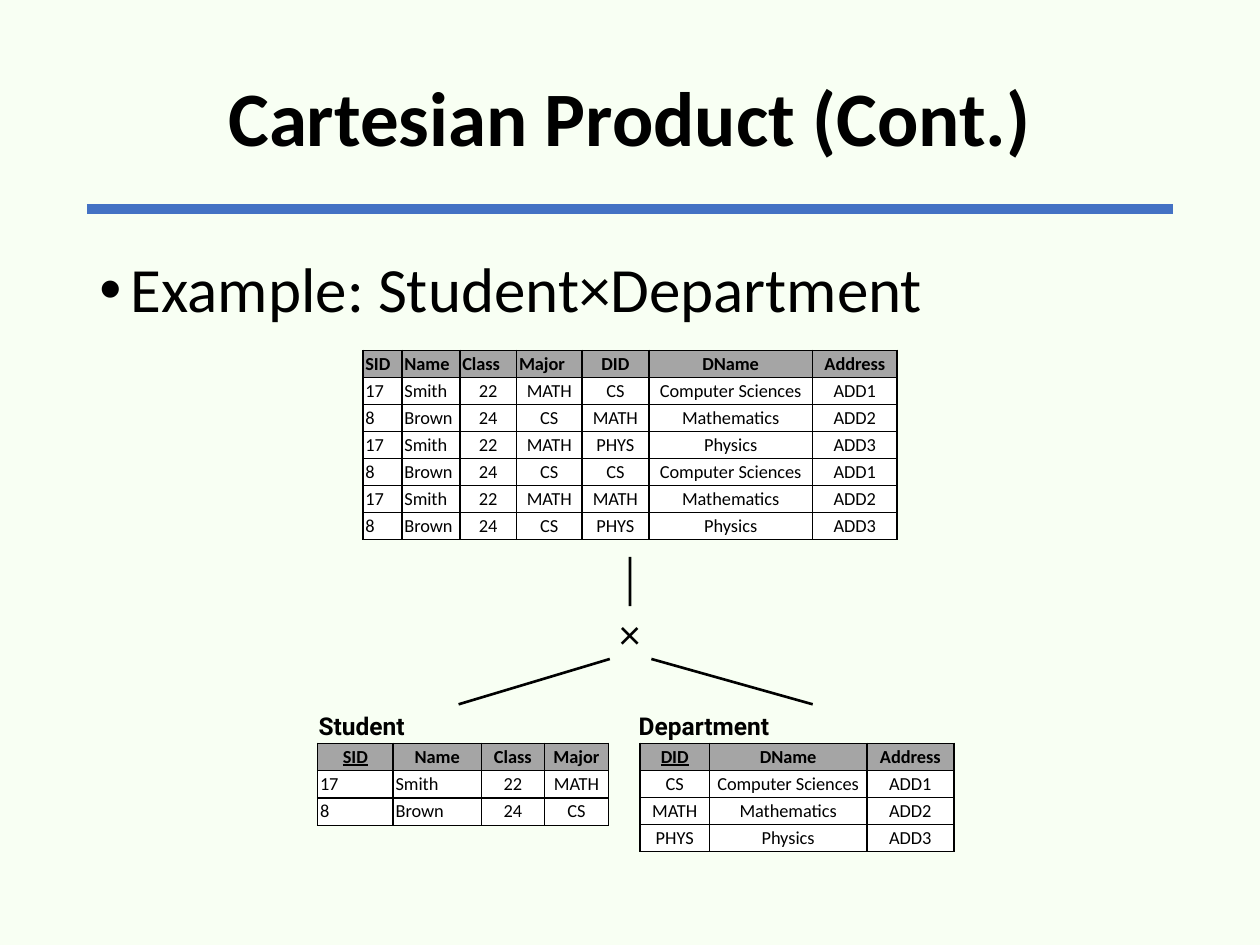
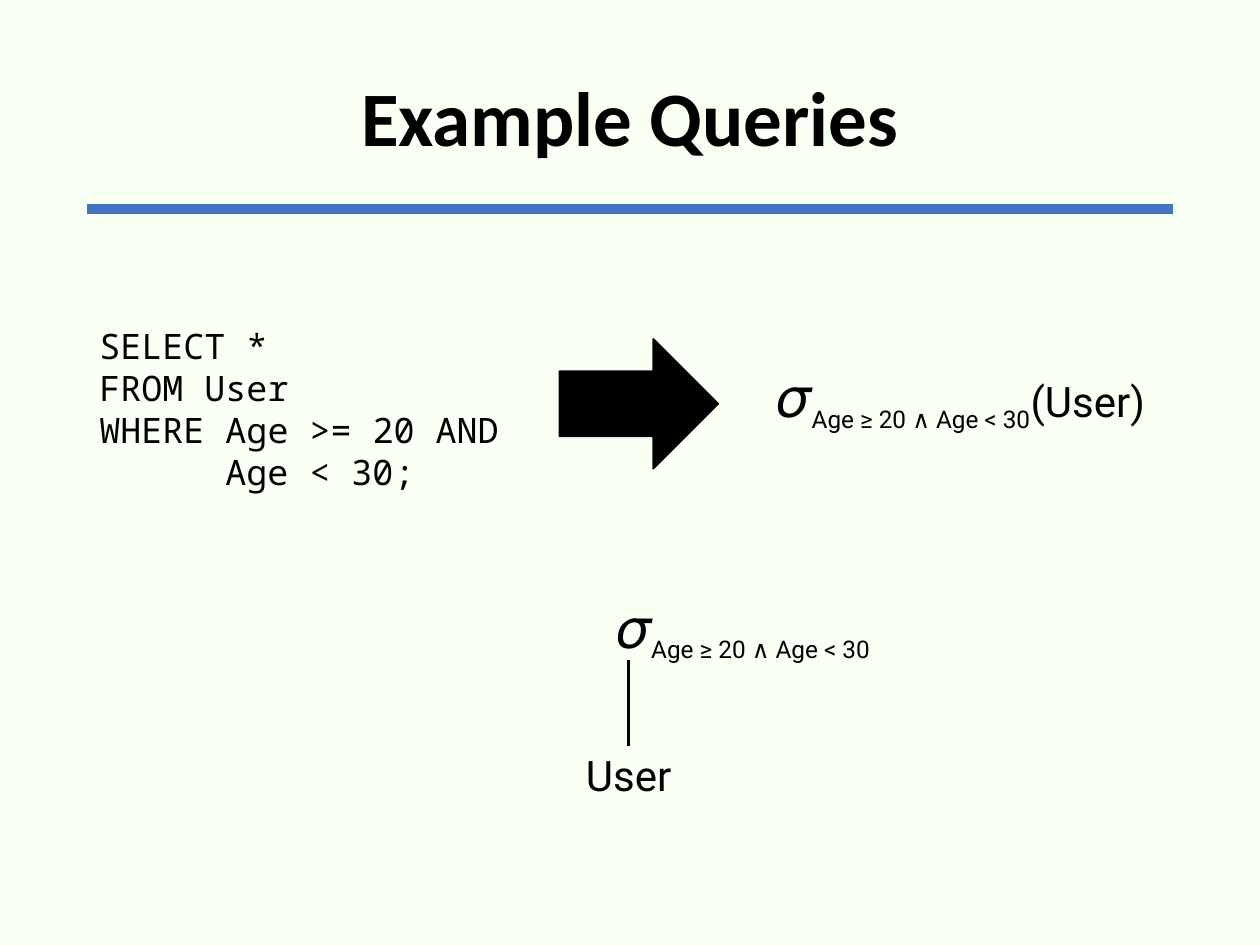
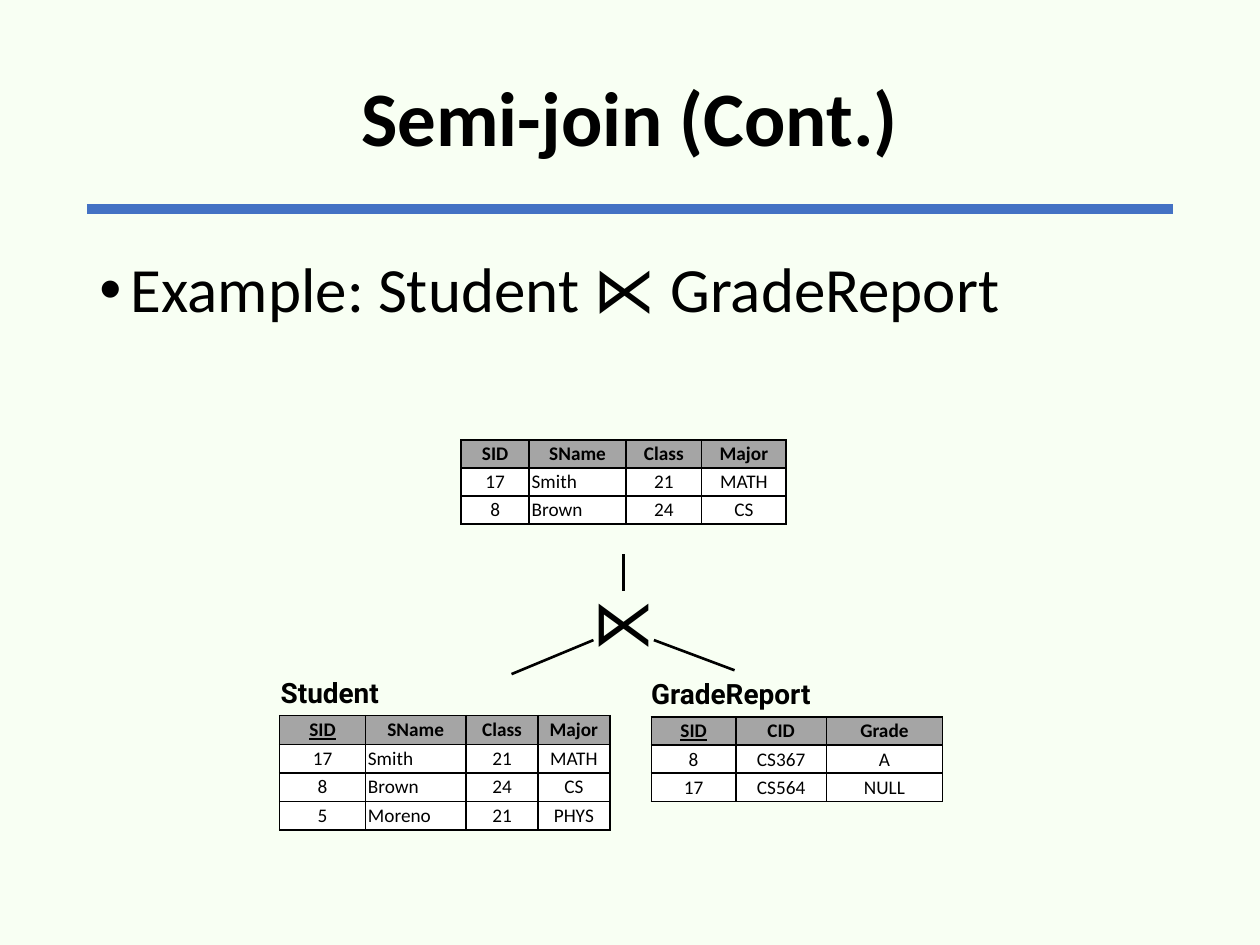
"""Build three relational algebra slides: product, selection and semi-join."""
from dataclasses import dataclass

from lxml import etree
from pptx import Presentation
from pptx import util as u
from pptx.dml.color import RGBColor
from pptx.enum import shapes, text
from pptx.oxml import ns


@dataclass(frozen=True)
class Theme:
    """Colours, fonts and type sizes shared by the slides."""
    background: str = "F8FFF3"
    rule: str = "4472C4"
    ink: str = "000000"
    header: str = "A5A5A5"
    cell: str = "FFFFFF"
    body_font: str = "Calibri"
    label_font: str = "Roboto"
    code_font: str = "Noto Sans Mono"
    title_size: float = 44
    bullet_size: float = 36
    sigma_size: float = 32
    formula_size: float = 24
    code_size: float = 20


@dataclass(frozen=True)
class Box:
    """A place on the slide in inches."""
    left: float
    top: float
    width: float
    height: float

    def lengths(self):
        """Return the four lengths for python-pptx."""
        return [u.Inches(n) for n in (self.left, self.top, self.width, self.height)]


@dataclass(frozen=True)
class Relation:
    """A relation drawn as a table, with one alignment letter per column."""
    box: Box
    columns: tuple
    rows: tuple
    align: str
    size: float
    header_align: str = ""
    keyed: bool = True


@dataclass(frozen=True)
class Label:
    """A bold relation name above its table."""
    words: str
    box: Box
    size: float


@dataclass(frozen=True)
class Part:
    """A stretch of a formula."""
    words: str
    size: float
    baseline: int = 0


THEME = Theme()
ALIGN = {"l": text.PP_ALIGN.LEFT, "c": text.PP_ALIGN.CENTER}
CONDITION = (Part("𝜎", THEME.sigma_size),
             Part("Age ≥ 20 ∧ Age < 30", THEME.formula_size, -25000))
BODY_BOX = Box(0.69, 2, 8.62, 4.76)


def style_run(run, size: float, font: str, bold: bool = False) -> None:
    """Give a run its font, size and ink colour."""
    run.font.size = u.Pt(size)
    run.font.name = font
    run.font.bold = bold
    run.font.color.rgb = RGBColor.from_string(THEME.ink)


def style_frame(frame, size: float, font: str, align: str = "l", bold: bool = False) -> None:
    """Format every paragraph of a text frame alike."""
    for paragraph in frame.paragraphs:
        paragraph.alignment = ALIGN[align]
        for run in paragraph.runs:
            style_run(run, size, font, bold)


def add_text(slide, box: Box, words: str, size: float, font: str, align: str = "l",
             bold: bool = False, wrap: bool = True):
    """Add a text box and return its text frame."""
    frame = slide.shapes.add_textbox(*box.lengths()).text_frame
    frame.word_wrap = wrap
    frame.text = words
    style_frame(frame, size, font, align, bold)
    return frame


def add_line(slide, start: tuple, end: tuple, width: float = 1.5, color: str = THEME.ink):
    """Add a straight line without a shadow."""
    line = slide.shapes.add_connector(
        shapes.MSO_CONNECTOR.STRAIGHT, *[u.Inches(n) for n in start + end])
    line.line.width = u.Pt(width)
    line.line.color.rgb = RGBColor.from_string(color)
    etree.SubElement(line._element.spPr, ns.qn("a:effectLst"))
    return line


def add_slide(presentation, title: str):
    """Add a slide with the shared background, title and rule."""
    slide = presentation.slides.add_slide(presentation.slide_layouts[6])
    slide.background.fill.solid()
    slide.background.fill.fore_color.rgb = RGBColor.from_string(THEME.background)
    add_line(slide, (0.69, 1.66), (9.31, 1.66), 6, THEME.rule)
    frame = add_text(slide, Box(0.69, 0.24, 8.62, 1.45), title,
                     THEME.title_size, THEME.body_font, "c", True)
    frame.vertical_anchor = text.MSO_ANCHOR.MIDDLE
    frame.paragraphs[0].line_spacing = 0.9
    return slide


def add_bullet(slide, words: str) -> None:
    """Add the bulleted line under the title."""
    frame = add_text(slide, BODY_BOX, words, THEME.bullet_size, THEME.body_font)
    paragraph = frame.paragraphs[0]
    paragraph.line_spacing = 0.9
    paragraph.space_before = u.Pt(10)
    properties = paragraph._p.get_or_add_pPr()
    properties.set("marL", str(u.Inches(0.25)))
    properties.set("indent", str(u.Inches(-0.25)))
    etree.SubElement(properties, ns.qn("a:buFont"), typeface="Arial")
    etree.SubElement(properties, ns.qn("a:buChar"), char="•")


def add_node(slide, box: Box, words: str, size: float, font: str):
    """Add an operator or relation node of a query tree."""
    node = slide.shapes.add_shape(shapes.MSO_SHAPE.OVAL, *box.lengths())
    node.shadow.inherit = False
    node.fill.background()
    node.line.fill.background()
    frame = node.text_frame
    frame.word_wrap = False
    frame.vertical_anchor = text.MSO_ANCHOR.MIDDLE
    frame.text = words
    style_frame(frame, size, font, "c")
    return node


def add_formula(slide, box: Box, parts: tuple, align: str) -> None:
    """Add a formula made of parts with their own size and baseline."""
    frame = add_text(slide, box, "", THEME.formula_size, THEME.label_font, align, wrap=False)
    for part in parts:
        run = frame.paragraphs[0].add_run()
        run.text = part.words
        style_run(run, part.size, THEME.label_font)
        if part.baseline:
            run.font._element.set("baseline", str(part.baseline))


def add_borders(cell) -> None:
    """Draw a thin line on the four sides of a cell."""
    properties = cell._tc.get_or_add_tcPr()
    for index, side in enumerate(("a:lnL", "a:lnR", "a:lnT", "a:lnB")):
        line = etree.Element(ns.qn(side), w=str(u.Pt(1)))
        fill = etree.SubElement(line, ns.qn("a:solidFill"))
        etree.SubElement(fill, ns.qn("a:srgbClr"), val=THEME.ink)
        properties.insert(index, line)


def add_relation(slide, relation: Relation) -> None:
    """Draw a relation as a bordered table with a grey header."""
    count = len(relation.rows)
    table = slide.shapes.add_table(
        count, len(relation.columns), *relation.box.lengths()).table
    table.first_row = table.horz_banding = False
    for column, width in zip(table.columns, relation.columns):
        column.width = u.Inches(width)
    header_align = relation.header_align or "c" * len(relation.columns)
    for i, values in enumerate(relation.rows):
        header = i == 0
        table.rows[i].height = u.Inches(relation.box.height / count)
        for j, value in enumerate(values):
            cell = table.cell(i, j)
            cell.margin_left = cell.margin_right = u.Inches(0.02)
            cell.margin_top = cell.margin_bottom = u.Inches(0.02)
            cell.fill.solid()
            cell.fill.fore_color.rgb = RGBColor.from_string(
                THEME.header if header else THEME.cell)
            add_borders(cell)
            cell.text_frame.text = value
            align = (header_align if header else relation.align)[j]
            style_frame(cell.text_frame, relation.size, THEME.body_font, align, header)
            if header and j == 0 and relation.keyed:
                cell.text_frame.paragraphs[0].runs[0].font.underline = True


def add_query_tree(slide, node, stem: tuple, branches: tuple, relations: tuple,
                   labels: tuple) -> None:
    """Draw the lines, tables and names around an operator node."""
    add_line(slide, stem, (stem[0], node.top.inches)).end_connect(node, 0)
    for start, end in branches:
        add_line(slide, start, end)
    for relation in relations:
        add_relation(slide, relation)
    for label in labels:
        add_text(slide, label.box, label.words, label.size, THEME.label_font, bold=True)


def build_product(presentation) -> None:
    """Build the Cartesian product slide."""
    slide = add_slide(presentation, "Cartesian Product (Cont.)")
    add_bullet(slide, "Example: Student×Department")
    student_head = ("SID", "Name", "Class", "Major")
    students = (("17", "Smith", "22", "MATH"), ("8", "Brown", "24", "CS"))
    department_head = ("DID", "DName", "Address")
    departments = (("CS", "Computer Sciences", "ADD1"),
                   ("MATH", "Mathematics", "ADD2"),
                   ("PHYS", "Physics", "ADD3"))
    pairs = tuple(students[i % 2] + departments[i % 3] for i in range(6))
    relations = (
        Relation(Box(2.52, 5.9, 2.31, 0.65), (0.6, 0.7, 0.5, 0.51),
                 (student_head,) + students, "llcc", 10.5),
        Relation(Box(2.88, 2.78, 4.24, 1.5), (0.31, 0.46, 0.45, 0.52, 0.53, 1.3, 0.67),
                 (student_head + department_head,) + pairs, "llccccc", 10.5,
                 "llllccc", keyed=False),
        Relation(Box(5.08, 5.9, 2.49, 0.86), (0.55, 1.25, 0.69),
                 (department_head,) + departments, "ccc", 10.5))
    labels = (Label("Student", Box(2.43, 5.59, 1.1, 0.34), 14),
              Label("Department", Box(4.97, 5.59, 1.5, 0.34), 14))
    node = add_node(slide, Box(4.27, 4.81, 1.46, 0.42), "×",
                    THEME.formula_size, THEME.body_font)
    branches = (((4.84, 5.23), (3.64, 5.59)), ((5.17, 5.23), (6.45, 5.59)))
    add_query_tree(slide, node, (5, 4.42), branches, relations, labels)


def build_queries(presentation) -> None:
    """Build the slide that turns a query into a selection."""
    slide = add_slide(presentation, "Example Queries")
    query = "SELECT *\nFROM User\nWHERE Age >= 20 AND\nAge < 30;"
    code = add_text(slide, Box(0.69, 2.53, 3.42, 1.44), query,
                    THEME.code_size, THEME.code_font)
    code.paragraphs[-1]._p.get_or_add_pPr().set("marL", str(u.Inches(1)))
    arrow = slide.shapes.add_shape(
        shapes.MSO_SHAPE.RIGHT_ARROW, *Box(4.44, 2.69, 1.26, 1.03).lengths())
    arrow.shadow.inherit = False
    arrow.fill.solid()
    arrow.fill.fore_color.rgb = RGBColor.from_string(THEME.ink)
    arrow.line.color.rgb = RGBColor.from_string(THEME.ink)
    arrow.line.width = u.Pt(1)
    add_formula(slide, Box(6.06, 2.82, 3.14, 0.64),
                CONDITION + (Part("(User)", THEME.formula_size),), "c")
    add_formula(slide, Box(4.8, 4.65, 2.21, 0.64), CONDITION, "l")
    user = add_node(slide, Box(4.79, 5.92, 0.4, 0.45), "User",
                    THEME.formula_size, THEME.label_font)
    add_line(slide, (4.99, 5.24), (4.99, 5.92)).end_connect(user, 0)


def build_semi_join(presentation) -> None:
    """Build the semi-join slide."""
    slide = add_slide(presentation, "Semi-join (Cont.)")
    add_bullet(slide, "Example: Student ⋉ GradeReport")
    students = (("SID", "SName", "Class", "Major"),
                ("17", "Smith", "21", "MATH"),
                ("8", "Brown", "24", "CS"),
                ("5", "Moreno", "21", "PHYS"))
    grades = (("SID", "CID", "Grade"), ("8", "CS367", "A"), ("17", "CS564", "NULL"))
    relations = (
        Relation(Box(2.22, 5.68, 2.61, 0.91), (0.68, 0.8, 0.57, 0.57),
                 students, "clcc", 11),
        Relation(Box(5.17, 5.69, 2.32, 0.67), (0.67, 0.72, 0.92), grades, "ccc", 11),
        Relation(Box(3.66, 3.49, 2.58, 0.67), (0.54, 0.77, 0.6, 0.67),
                 students[:3], "clcc", 11, keyed=False))
    labels = (Label("Student", Box(2.13, 5.31, 1.2, 0.37), 16),
              Label("GradeReport", Box(5.07, 5.32, 1.8, 0.37), 16))
    node = add_node(slide, Box(4.61, 4.69, 0.68, 0.46), "⋉",
                    THEME.bullet_size, THEME.label_font)
    branches = (((4.71, 5.08), (4.06, 5.35)), ((5.19, 5.08), (5.83, 5.32)))
    add_query_tree(slide, node, (4.95, 4.4), branches, relations, labels)


def main() -> None:
    """Build and save the presentation."""
    presentation = Presentation()
    presentation.slide_width = u.Inches(10)
    presentation.slide_height = u.Inches(7.5)
    build_product(presentation)
    build_queries(presentation)
    build_semi_join(presentation)
    presentation.save("out.pptx")


if __name__ == "__main__":
    main()
